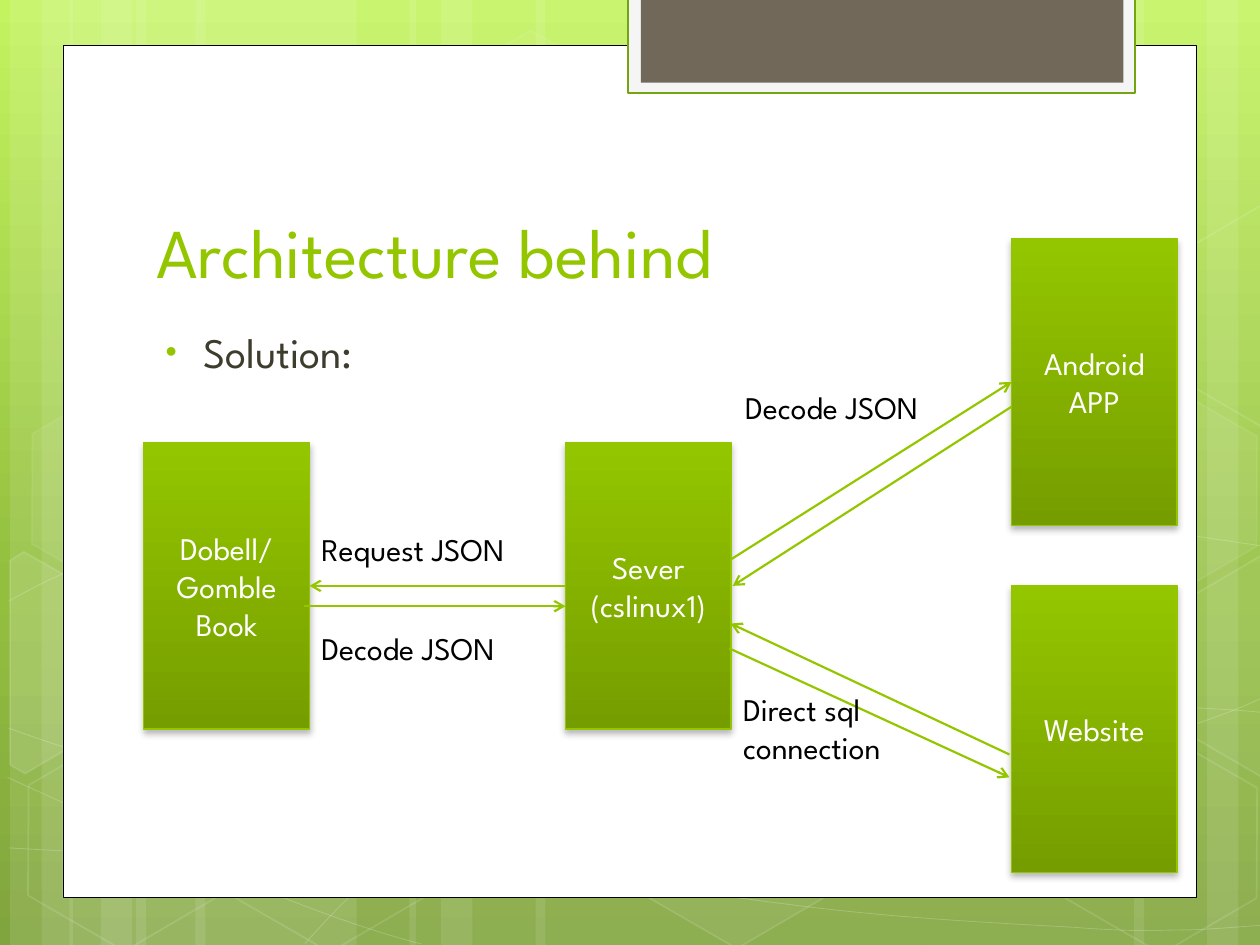
from copy import deepcopy

from lxml import etree
from pptx import Presentation
from pptx.dml.color import RGBColor
from pptx.enum.shapes import MSO_CONNECTOR, MSO_SHAPE
from pptx.enum.text import MSO_ANCHOR, PP_ALIGN
from pptx.oxml.ns import qn
from pptx.util import Cm, Pt

RECT, HEX = MSO_SHAPE.RECTANGLE, MSO_SHAPE.HEXAGON
TOP, MID, LOW = MSO_ANCHOR.TOP, MSO_ANCHOR.MIDDLE, MSO_ANCHOR.BOTTOM
LEFT, CENTER = PP_ALIGN.LEFT, PP_ALIGN.CENTER
STRAIGHT = MSO_CONNECTOR.STRAIGHT

HUE = {"white": "FFFFFF", "black": "000000", "lime": "94C600",
       "moss": "769D00", "edge": "74A510", "pale": "F5F5F5",
       "taupe": "71685A", "ink": "3E3D2D",
       "sky": "C3F35F", "leaf": "93BF3F", "fern": "81A53E"}
FONT = "League Spartan"

# Content, places in cm
TITLE = ("Architecture behind", (2.9, 2.84, 19.51, 3.18))
BODY = ("Solution:", (2.9, 6.45, 18.82, 9.75))
BOX = (3.34, 5.78)
NODES = [("Sever\n(cslinux1)", 11.4, 8.92), ("Android APP", 20.39, 4.81),
         ("Website", 20.39, 11.81), ("Dobell/Gomble Book", 2.9, 8.92)]
LABELS = [("Request JSON", 6.23, 10.57, 1.02),
          ("Decode JSON", 6.23, 12.55, 1.02),
          ("Decode JSON", 14.77, 7.7, 1.02),
          ("Direct sql connection", 14.73, 13.79, 1.8)]
ARROWS = [(14.73, 11.28, 20.39, 7.7), (20.39, 8.2, 14.77, 11.81),
          (14.7, 13.07, 20.35, 15.67), (20.35, 15.21, 14.73, 12.57),
          (11.4, 11.81, 6.24, 11.81), (6.12, 12.22, 11.4, 12.22)]
# Frame: place, fill, line, line width
FRAME = [((1.27, 0.91, 22.86, 17.19), "white", "black", 0.5),
         ((12.66, -0.05, 10.22, 1.93), "pale", "edge", 1.25),
         ((12.92, -0.05, 9.73, 1.72), "taupe", None, 0)]

# Backdrop, places in grid units of 2.54 cm
UNIT = 2.54
# Stripes: left, width
STRIPES = [(1.08, 1.75), (0.08, 0.5), (0.33, 0.83), (1.55, 1.75),
           (0.55, 0.5), (0.8, 0.83), (7.33, 1.75), (9.58, 0.5),
           (9, 0.83), (4.25, 3.08), (3.25, 0.5), (3.5, 0.83)]
# Chains of cubic curves
CURVES = [
    [(0.07, 6.73), (0.61, 6.76), (1.15, 6.79), (1.9, 6.78), (2.65, 6.77),
     (3.58, 6.75), (4.58, 6.65), (5.58, 6.55), (7, 6.36), (7.92, 6.17),
     (8.83, 5.98), (9.77, 5.68), (10.07, 5.51)],
    [(0.07, 4.77), (0.36, 4.61), (0.65, 4.46), (1.21, 4.31), (1.78, 4.16),
     (2.59, 3.94), (3.47, 3.87), (4.36, 3.8), (5.44, 3.79), (6.54, 3.87),
     (7.64, 3.95), (9.47, 4.26), (10.07, 4.34)],
    [(0.06, 6.17), (1.27, 6.72), (2.47, 7.27), (3.34, 7.49)],
    [(0.07, 5.78), (0.38, 5.89), (0.7, 6), (1.28, 6.16), (1.86, 6.31),
     (2.73, 6.56), (3.57, 6.73), (4.4, 6.9), (5.45, 7.08), (6.28, 7.18),
     (7.11, 7.29), (8, 7.33), (8.53, 7.36), (9.05, 7.4), (9.19, 7.38),
     (9.45, 7.38), (9.71, 7.37), (9.89, 7.35), (10.07, 7.34)],
    [(2.42, 7.49), (2.6, 7.29), (2.78, 7.09), (3.02, 6.91), (3.26, 6.73),
     (3.6, 6.53), (3.88, 6.39), (4.16, 6.25), (4.33, 6.19), (4.7, 6.09),
     (5.06, 5.99), (5.73, 5.85), (6.08, 5.78), (6.44, 5.71), (6.49, 5.71),
     (6.8, 5.69), (7.11, 5.66), (7.6, 5.63), (7.94, 5.62), (8.29, 5.61),
     (8.86, 5.62), (8.86, 5.62), (8.86, 5.62), (9.53, 5.62), (9.53, 5.62),
     (9.71, 5.63), (9.88, 5.64), (9.97, 5.65), (10.06, 5.66),
     (10.03, 5.65), (10.06, 5.66)],
]
# Left, top, fill opacity, line opacity
HEXES = [(3.34, 0.36, 4, 8), (4.97, 5.89, 6, 12), (0.11, 5.91, 0, 12),
         (0.14, 3.12, 7, 8), (1.74, 5.92, 0, 12),
         (8.34, 5.93, 0, 12), (8.34, 3.14, 7, 8)]
# Hexagons cut by the slide edge: corners, fill opacity
CUTS = [([(0.08, 4.45), (0.19, 4.38), (0.96, 4.82), (0.95, 5.7),
          (0.2, 6.14), (0.08, 6.07)], 10),
        ([(9.26, 4.85), (10.01, 4.41), (10.09, 4.46), (10.09, 6.13),
          (10.02, 6.17), (9.26, 5.73)], 4),
        ([(9.26, 2.07), (10.01, 1.63), (10.1, 1.68), (10.09, 3.35),
          (10.02, 3.39), (9.26, 2.95)], 0)]


def cm(*vals):
    return [Cm(v) for v in vals]


def grid(*vals):
    return cm(*(v * UNIT for v in vals))


def rgb(name):
    return RGBColor.from_string(HUE[name])


def sub(node, tag, **vals):
    return etree.SubElement(node, qn(tag), {k: str(v) for k, v in vals.items()})


def fade(paint, pct):
    if pct < 100:
        sub(paint.find(qn("a:solidFill"))[0], "a:alpha", val=pct * 1000)


def style(shape, fill=None, line=None, width=1, fog=100, haze=100):
    shape.shadow.inherit = False
    props = shape._element.spPr
    if fill and fog:
        shape.fill.solid()
        shape.fill.fore_color.rgb = rgb(fill)
        fade(props, fog)
    else:
        shape.fill.background()
    if line:
        shape.line.color.rgb = rgb(line)
        shape.line.width = Pt(width)
        fade(props.find(qn("a:ln")), haze)
    else:
        shape.line.fill.background()


def blend(fill, stops):
    fill.gradient()
    first = fill.gradient_stops[0]._gs
    for _ in stops[2:]:
        first.addnext(deepcopy(first))
    for stop, (pos, name) in zip(fill.gradient_stops, stops):
        stop.position, stop.color.rgb = pos, rgb(name)
    fill.gradient_angle = 270


def write(shape, text, size, hue, anchor=TOP, align=LEFT, mark=False):
    frame = shape.text_frame
    frame.word_wrap, frame.vertical_anchor = True, anchor
    frame.text = text
    form = {"name": FONT, "size": Pt(size)}
    for para in frame.paragraphs:
        para.alignment = align
        if mark:
            props = para._p.get_or_add_pPr()
            left, hang = cm(0.95, -0.76)
            props.set("marL", str(left))
            props.set("indent", str(hang))
            sub(sub(props, "a:buClr"), "a:srgbClr", val=HUE["lime"])
            sub(props, "a:buSzPct", val=76000)
            sub(props, "a:buFont", typeface="Arial")
            sub(props, "a:buChar", char="•")
        for run in para.runs:
            for key, val in form.items():
                setattr(run.font, key, val)
            run.font.color.rgb = rgb(hue)


def trace(shapes, pts, close):
    pts = [grid(*p) for p in pts]
    pen = shapes.build_freeform(*pts[0], scale=1.0)
    pen.add_line_segments(pts[1:], close=close)
    return pen.convert_to_shape()


def bend(shape):
    """Turn each three line segments into one cubic curve."""
    lines = list(shape._element.iter(qn("a:lnTo")))
    for i in range(0, len(lines), 3):
        curve = etree.Element(qn("a:cubicBezTo"))
        lines[i].addprevious(curve)
        for line in lines[i:i + 3]:
            curve.append(line[0])
            line.getparent().remove(line)
    return shape


deck = Presentation()
deck.slide_width, deck.slide_height = cm(25.4, 19.05)
slide = deck.slides.add_slide(deck.slide_layouts[6])
shapes = slide.shapes

# Backdrop
blend(slide.background.fill, [(0, "sky"), (0.62, "leaf"), (1, "fern")])
for x, w in STRIPES:
    style(shapes.add_shape(RECT, *grid(x, 0, w, 7.5)), "white", fog=10)
for knots in CURVES:
    style(bend(trace(shapes, knots, False)), line="white", width=0.5, haze=20)
for x, y, fog, haze in HEXES:
    cell = shapes.add_shape(HEX, *grid(x, y, 1.75, 1.52))
    cell.rotation, cell.adjustments[0] = 30, 0.285
    style(cell, "white", "white", 1, fog, haze)
for pts, fog in CUTS:
    style(trace(shapes, pts, True), "white", "white", 1, fog, 12)

# Frame
for place, fill, line, width in FRAME:
    style(shapes.add_shape(RECT, *cm(*place)), fill, line, width)

# Title and bullet
text, place = TITLE
write(shapes.add_textbox(*cm(*place)), text, 40, "lime", LOW)
text, place = BODY
write(shapes.add_textbox(*cm(*place)), text, 24, "ink", mark=True)

# Nodes with a soft shadow
for text, x, y in NODES:
    node = shapes.add_shape(RECT, *cm(x, y, *BOX))
    style(node, line="lime", width=0.75)
    blend(node.fill, [(0, "lime"), (1, "moss")])
    glow = sub(node._element.spPr.find(qn("a:effectLst")), "a:outerShdw",
               blurRad=Pt(4), dist=Pt(2), dir=5400000, rotWithShape=0)
    sub(sub(glow, "a:srgbClr", val=HUE["black"]), "a:alpha", val=28000)
    write(node, text, 18, "white", MID, CENTER)

# Arrows and their labels
for ends in ARROWS:
    link = shapes.add_connector(STRAIGHT, *cm(*ends))
    link.line.color.rgb, link.line.width = rgb("lime"), Pt(1.25)
    props = link._element.spPr
    sub(props.find(qn("a:ln")), "a:tailEnd", type="arrow")
    sub(props, "a:effectLst")
for text, x, y, h in LABELS:
    write(shapes.add_textbox(*cm(x, y, 5.61, h)), text, 18, "black")

deck.save("out.pptx")
